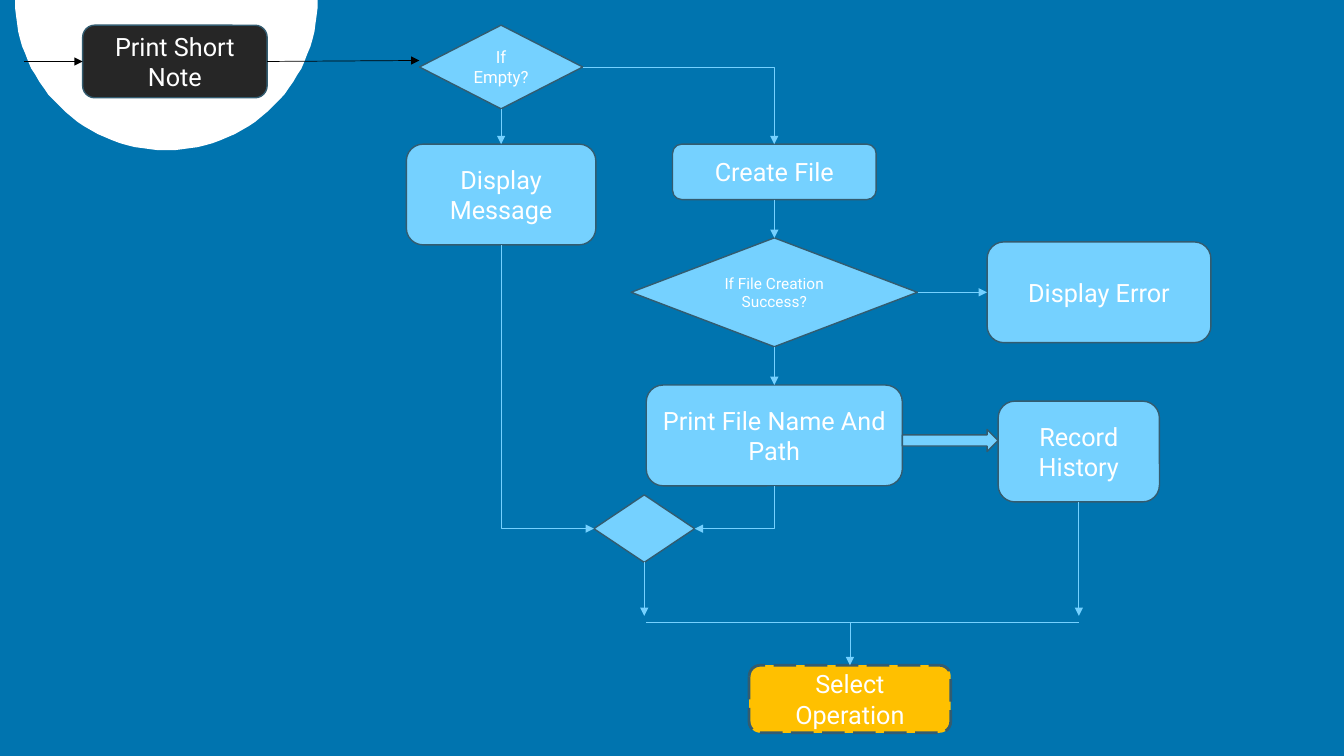
import math
from pptx import Presentation, util as u
from pptx.dml.color import RGBColor
from pptx.enum import dml, shapes, text
from pptx.oxml import ns, xmlchemy

PX = 9144
BLUE = RGBColor(0x00, 0x74, 0xAF)
SKY = RGBColor(0x75, 0xD1, 0xFF)
SLATE = RGBColor(0x33, 0x5C, 0x70)
CHARCOAL = RGBColor(0x26, 0x26, 0x26)
AMBER = RGBColor(0xFF, 0xC0, 0x00)
WHITE = RGBColor(0xFF, 0xFF, 0xFF)
BLACK = RGBColor(0x00, 0x00, 0x00)

BOX = shapes.MSO_SHAPE.ROUNDED_RECTANGLE
DECISION = shapes.MSO_SHAPE.FLOWCHART_DECISION
ARROW = shapes.MSO_SHAPE.RIGHT_ARROW
TOP, LEFT, BOTTOM, RIGHT = range(4)


def px(*lengths):
    return [length * PX for length in lengths]


def apply(target, values):
    for key, value in values.items():
        setattr(target, key, value)


def add_disc(slide):
    center, radius, depth, steps = 165, 150, 149, 60
    rim = [(center + radius * math.cos(math.pi * i / steps),
            depth * math.sin(math.pi * i / steps)) for i in range(steps + 1)]
    builder = slide.shapes.build_freeform(*rim[0], scale=PX)
    builder.add_line_segments(rim[1:], close=True)
    disc = builder.convert_to_shape()
    disc.shadow.inherit = False
    disc.fill.solid()
    disc.fill.fore_color.rgb = WHITE
    disc.line.fill.background()


def add_step(slide, kind, bounds, label="", size=18, fill=SKY, outline=None):
    step = slide.shapes.add_shape(kind, *px(*bounds))
    step.shadow.inherit = False
    step.fill.solid()
    step.fill.fore_color.rgb = fill
    step.line.color.rgb = SLATE
    apply(step.line, {"width": u.Pt(1), **(outline or {})})
    if label:
        frame = step.text_frame
        apply(frame, {"text": label, "word_wrap": True,
                      "vertical_anchor": text.MSO_ANCHOR.MIDDLE})
        paragraph = frame.paragraphs[0]
        paragraph.alignment = text.PP_ALIGN.CENTER
        font = paragraph.runs[0].font
        apply(font, {"name": "Roboto", "size": u.Pt(size)})
        font.color.rgb = WHITE
    return step


def add_flow(slide, start=(0, 0), end=(0, 0), source=None, target=None,
             color=SKY, head=True, kind=shapes.MSO_CONNECTOR.STRAIGHT):
    flow = slide.shapes.add_connector(kind, *px(*start, *end))
    if source:
        flow.begin_connect(*source)
    if target:
        flow.end_connect(*target)
    flow.line.color.rgb = color
    flow.line.width = u.Pt(0.5)
    properties = flow._element.spPr
    if head:
        tail = xmlchemy.OxmlElement("a:tailEnd")
        tail.set("type", "triangle")
        properties.find(ns.qn("a:ln")).append(tail)
    properties.append(xmlchemy.OxmlElement("a:effectLst"))
    return flow


def add_corner(slide, source, target, down_first):
    flow = add_flow(slide, source=source, target=target,
                    kind=shapes.MSO_CONNECTOR.ELBOW)
    properties = flow._element.spPr
    properties.find(ns.qn("a:prstGeom")).set("prst", "bentConnector2")
    if down_first:
        rightward = flow.end_x > flow.begin_x
        left, top, width, height = flow.left, flow.top, flow.width, flow.height
        apply(flow, {"left": left + (width - height) // 2,
                     "top": top + (height - width) // 2,
                     "width": height, "height": width})
        transform = properties.find(ns.qn("a:xfrm"))
        transform.set("rot", str((270 if rightward else 90) * 60000))
        transform.set("flipH", "1" if rightward else "0")


def main():
    deck = Presentation()
    apply(deck, {"slide_width": u.Inches(13.33), "slide_height": u.Inches(7.5)})
    slide = deck.slides.add_slide(deck.slide_layouts[6])
    slide.background.fill.solid()
    slide.background.fill.fore_color.rgb = BLUE

    add_disc(slide)
    short_note = add_step(slide, BOX, (82, 25, 183, 72), "Print Short Note",
                          fill=CHARCOAL)
    if_empty = add_step(slide, DECISION, (416, 25, 162, 83), "If Empty?", 12)
    message = add_step(slide, BOX, (403, 143, 188, 100), "Display Message")
    create_file = add_step(slide, BOX, (667, 143, 202, 55), "Create File")
    file_path = add_step(slide, BOX, (641, 382, 254, 100),
                         "Print File Name And Path")
    merge = add_step(slide, DECISION, (589, 491, 100, 67))
    history = add_step(slide, BOX, (990, 398, 160, 100), "Record History")
    add_step(slide, ARROW, (895, 426, 95, 22))
    if_success = add_step(slide, DECISION, (626, 236, 284, 108),
                          "If File Creation Success?", 11)
    error = add_step(slide, BOX, (979, 240, 222, 100), "Display Error")
    operation = add_step(slide, BOX, (743, 660, 200, 67), "Select Operation",
                         fill=AMBER,
                         outline={"width": u.Pt(2),
                                  "dash_style": dml.MSO_LINE.LONG_DASH})

    add_flow(slide, start=(24, 61), target=(short_note, LEFT), color=BLACK)
    add_flow(slide, end=(416, 60), source=(short_note, RIGHT), color=BLACK)
    for upper, lower in ((if_empty, message), (create_file, if_success),
                         (if_success, file_path)):
        add_flow(slide, source=(upper, BOTTOM), target=(lower, TOP))
    add_flow(slide, source=(if_success, RIGHT), target=(error, LEFT))
    add_corner(slide, (if_empty, RIGHT), (create_file, TOP), False)
    add_corner(slide, (message, BOTTOM), (merge, LEFT), True)
    add_corner(slide, (file_path, BOTTOM), (merge, RIGHT), True)

    add_flow(slide, start=(641, 617), end=(1070, 617), head=False)
    for branch, x in ((merge, 639), (history, 1070)):
        add_flow(slide, end=(x, 611), source=(branch, BOTTOM))
    add_flow(slide, start=(843, 617), target=(operation, TOP))
    deck.save("out.pptx")


if __name__ == "__main__":
    main()
